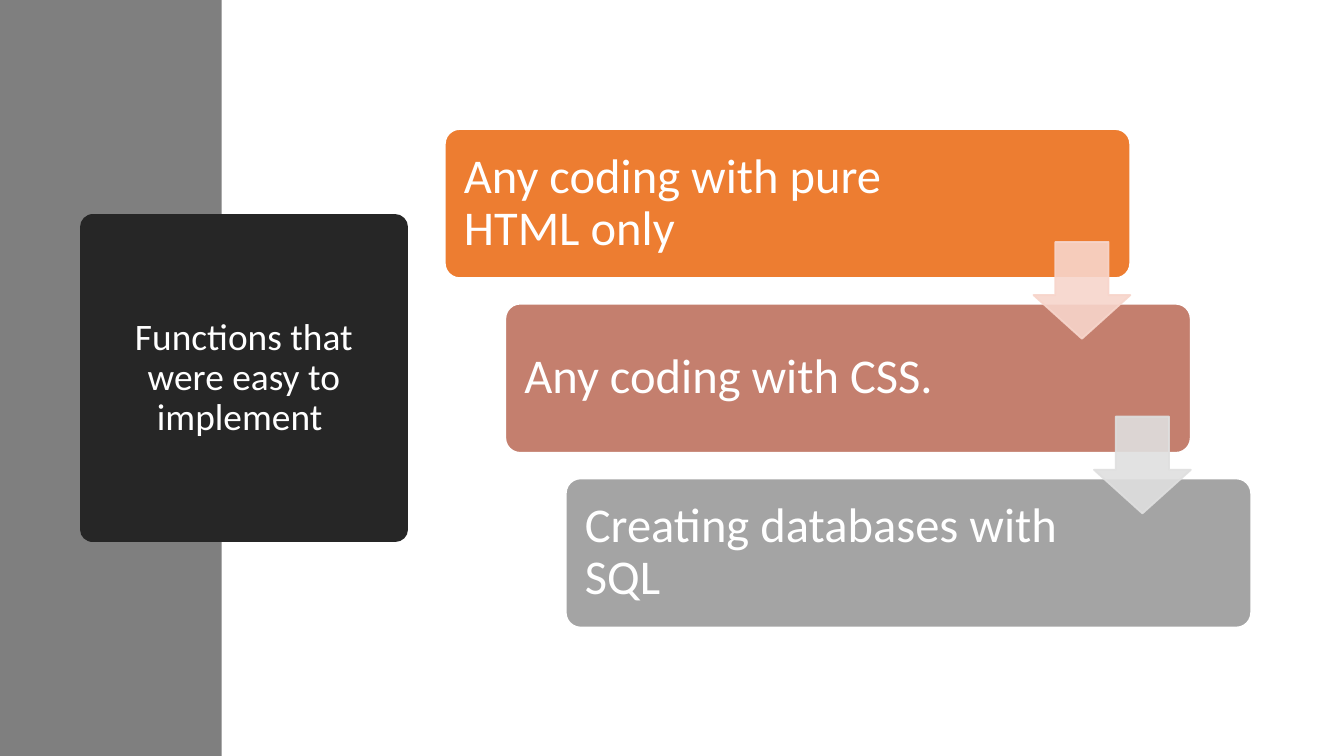
from pptx import Presentation
from pptx.dml.color import RGBColor
from pptx.enum.shapes import MSO_SHAPE as SHAPE
from pptx.enum.text import MSO_ANCHOR, MSO_AUTO_SIZE, PP_ALIGN
from pptx.oxml.ns import qn
from pptx.util import Inches, Pt
from lxml import etree

WHITE = RGBColor(0xFF, 0xFF, 0xFF)
GRAY = RGBColor(0x7F, 0x7F, 0x7F)
DARK = RGBColor(0x26, 0x26, 0x26)
ORANGE = RGBColor(0xED, 0x7D, 0x31)
ROSE = RGBColor(0xC4, 0x7F, 0x6E)
SILVER = RGBColor(0xA4, 0xA4, 0xA4)
PALE_ROSE = RGBColor(0xF7, 0xD5, 0xCB)
PALE_GRAY = RGBColor(0xDF, 0xDF, 0xDF)

TITLE = "Functions that were easy to implement "
STEPS = [
    ("Any coding with pure HTML only", ORANGE),
    ("Any coding with CSS.  ", ROSE),
    ("Creating databases with SQL", SILVER),
]
ARROWS = [PALE_ROSE, PALE_GRAY]

SLIDE_W = 10
SLIDE_H = SLIDE_W * 9 / 16
CARD_X, CARD_Y, CARD_W, CARD_H = 3.31, 0.96, 5.1, 1.11
STEP_X, STEP_Y = 0.45, 1.3
ARROW_X, ARROW_Y, ARROW_SIZE = 7.69, 1.8, 0.72
CARD_FRAME = dict(margin_left=Inches(0.11), margin_right=Inches(1.25),
                  margin_top=Inches(0.11), margin_bottom=Inches(0.11))


def paint(sp, fill, line=None, width=1):
    sp.fill.solid()
    sp.fill.fore_color.rgb = fill
    if line is None:
        sp.line.fill.background()
    else:
        sp.line.color.rgb = line
        sp.line.width = Pt(width)


def add_shape(kind, x, y, w, h, fill, line=None, adj=()):
    sp = s.shapes.add_shape(kind, Inches(x), Inches(y), Inches(w), Inches(h))
    sp.shadow.inherit = False
    paint(sp, fill, line)
    for i, value in enumerate(adj):
        sp.adjustments[i] = value
    return sp


def write(sp, text, size, align, **frame):
    tf = sp.text_frame
    frame.update(word_wrap=True, auto_size=MSO_AUTO_SIZE.NONE,
                 vertical_anchor=MSO_ANCHOR.MIDDLE)
    for name, value in frame.items():
        setattr(tf, name, value)
    p = tf.paragraphs[0]
    p.alignment, p.line_spacing = align, 0.9
    r = p.add_run()
    r.text = text
    for name, value in dict(name="Calibri", size=Pt(size)).items():
        setattr(r.font, name, value)
    r.font.color.rgb = WHITE


prs = Presentation()
prs.slide_width, prs.slide_height = Inches(SLIDE_W), Inches(SLIDE_H)
s = prs.slides.add_slide(prs.slide_layouts[5])

title = s.shapes.title
sidebar = add_shape(SHAPE.RECTANGLE, 0, 0, 1.65, SLIDE_H, GRAY)
title._element.addprevious(sidebar._element)

box = dict(left=0.69, top=1.69, width=2.25, height=2.25)
for name, value in box.items():
    setattr(title, name, Inches(value))
paint(title, DARK, DARK, 13.75)
etree.SubElement(title.line._ln, qn("a:round"))
write(title, TITLE, 20, PP_ALIGN.CENTER)

for i, (text, color) in enumerate(STEPS):
    card = add_shape(SHAPE.ROUNDED_RECTANGLE, CARD_X + i * STEP_X, CARD_Y + i * STEP_Y,
                     CARD_W, CARD_H, color, WHITE, [0.1])
    write(card, text, 26, PP_ALIGN.LEFT, **CARD_FRAME)

for i, color in enumerate(ARROWS):
    arrow = add_shape(SHAPE.DOWN_ARROW, ARROW_X + i * STEP_X, ARROW_Y + i * STEP_Y,
                      ARROW_SIZE, ARROW_SIZE, color, color, [0.55, 0.45])
    for clr in arrow._element.spPr.iter(qn("a:srgbClr")):
        etree.SubElement(clr, qn("a:alpha"), val="90000")

prs.save("out.pptx")
